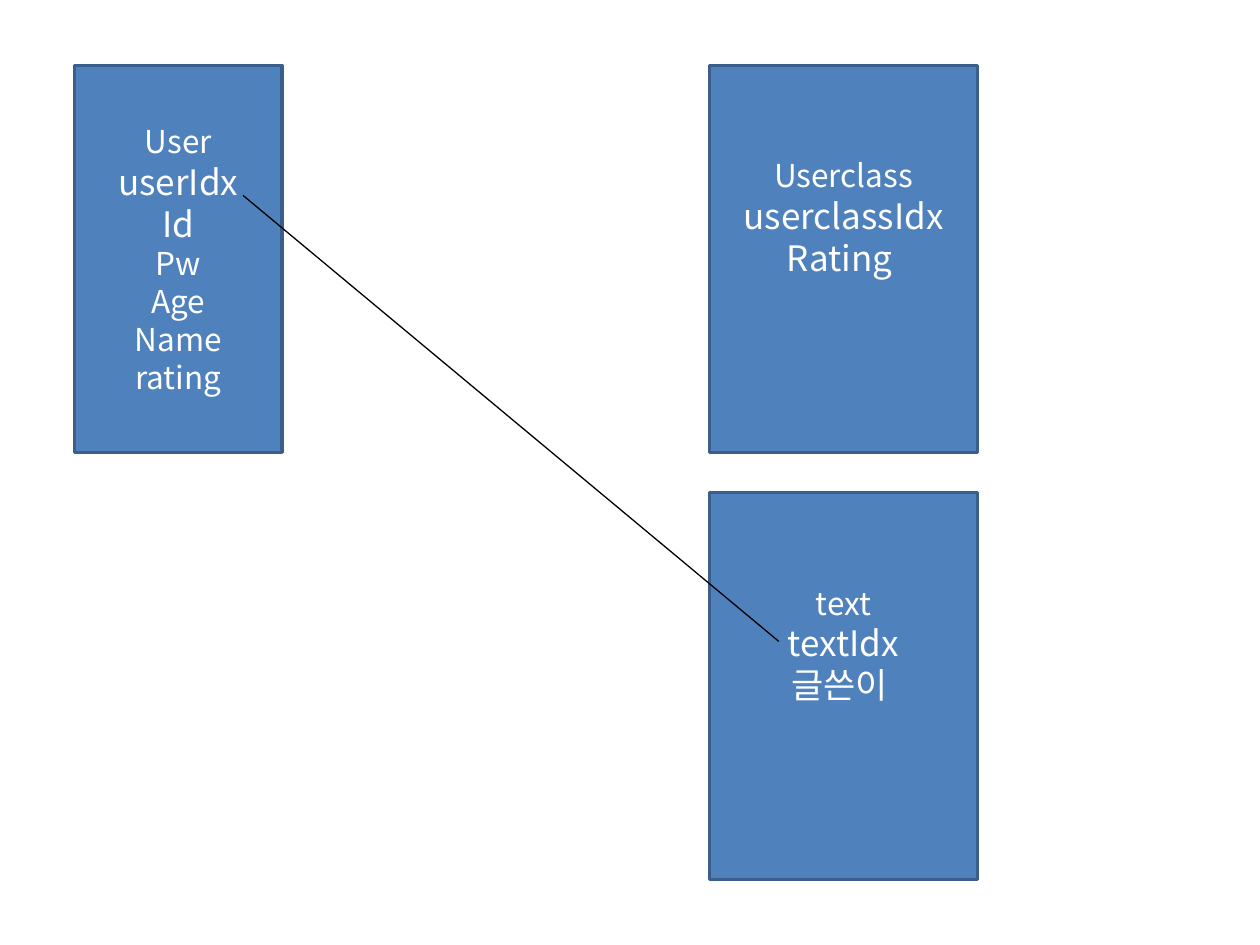
"""Draw the user, user class and text tables and the link between their keys."""
from typing import NamedTuple

from lxml import etree
from pptx import Presentation
from pptx import util as u
from pptx.dml.color import RGBColor
from pptx.enum import shapes, text
from pptx.oxml.ns import qn

FILL = RGBColor(0x4F, 0x81, 0xBD)
BORDER = RGBColor(0x3A, 0x5F, 0x8C)
WHITE = RGBColor(0xFF, 0xFF, 0xFF)
BLACK = RGBColor(0x00, 0x00, 0x00)
FONT = "Noto Sans CJK KR"
REGULAR, LARGE = 18, 20
TOP, HEIGHT, ROW_GAP = 1.32, 7.8, 0.81
RIGHT_COLUMN, RIGHT_WIDTH = 14.3, 5.41
DEFAULT_INSET, RAISED_INSET = 0.13, 1.8


class Field(NamedTuple):
    name: str
    size: int = REGULAR


class Entity(NamedTuple):
    left: float
    row: int
    width: float
    bottom_inset: float
    fields: list[Field]


class Link(NamedTuple):
    start: tuple[float, float]
    end: tuple[float, float]


ENTITIES = [
    Entity(1.5, 0, 4.19, DEFAULT_INSET, [
        Field("User"), Field("userIdx", LARGE), Field("Id", LARGE),
        Field("Pw"), Field("Age"), Field("Name"), Field("rating")]),
    Entity(RIGHT_COLUMN, 0, RIGHT_WIDTH, RAISED_INSET, [
        Field("Userclass"), Field("userclassIdx", LARGE), Field("Rating ", LARGE)]),
    Entity(RIGHT_COLUMN, 1, RIGHT_WIDTH, RAISED_INSET, [
        Field("text"), Field("textIdx", LARGE), Field("글쓴이 ", LARGE)]),
]
USER_TO_TEXT = Link((4.9, 3.94), (15.7, 12.93))


def draw_entity(slide, entity: Entity) -> None:
    top = TOP + entity.row * (HEIGHT + ROW_GAP)
    box = slide.shapes.add_shape(
        shapes.MSO_SHAPE.RECTANGLE,
        u.Cm(entity.left), u.Cm(top), u.Cm(entity.width), u.Cm(HEIGHT))
    box.shadow.inherit = False
    box.fill.solid()
    box.fill.fore_color.rgb = FILL
    box.line.color.rgb = BORDER
    box.line.width = u.Pt(2)
    frame = box.text_frame
    frame.word_wrap = True
    frame.vertical_anchor = text.MSO_ANCHOR.MIDDLE
    frame.margin_bottom = u.Cm(entity.bottom_inset)
    for index, field in enumerate(entity.fields):
        line = frame.add_paragraph() if index else frame.paragraphs[0]
        line.alignment = text.PP_ALIGN.CENTER
        run = line.add_run()
        run.text = field.name
        run.font.size = u.Pt(field.size)
        run.font.color.rgb = WHITE
        run.font.name = FONT
        etree.SubElement(run.font._element, qn("a:ea"), typeface=FONT)


def draw_link(slide, link: Link) -> None:
    connector = slide.shapes.add_connector(
        shapes.MSO_CONNECTOR.STRAIGHT,
        *(u.Cm(value) for value in link.start + link.end))
    connector.line.color.rgb = BLACK
    connector.line.width = u.Pt(0.75)
    etree.SubElement(connector._element.spPr, qn("a:effectLst"))


def main() -> None:
    deck = Presentation()
    deck.slide_width, deck.slide_height = u.Cm(25.4), u.Cm(19.05)
    slide = deck.slides.add_slide(deck.slide_layouts[6])
    for entity in ENTITIES:
        draw_entity(slide, entity)
    draw_link(slide, USER_TO_TEXT)
    deck.save("out.pptx")


main()
